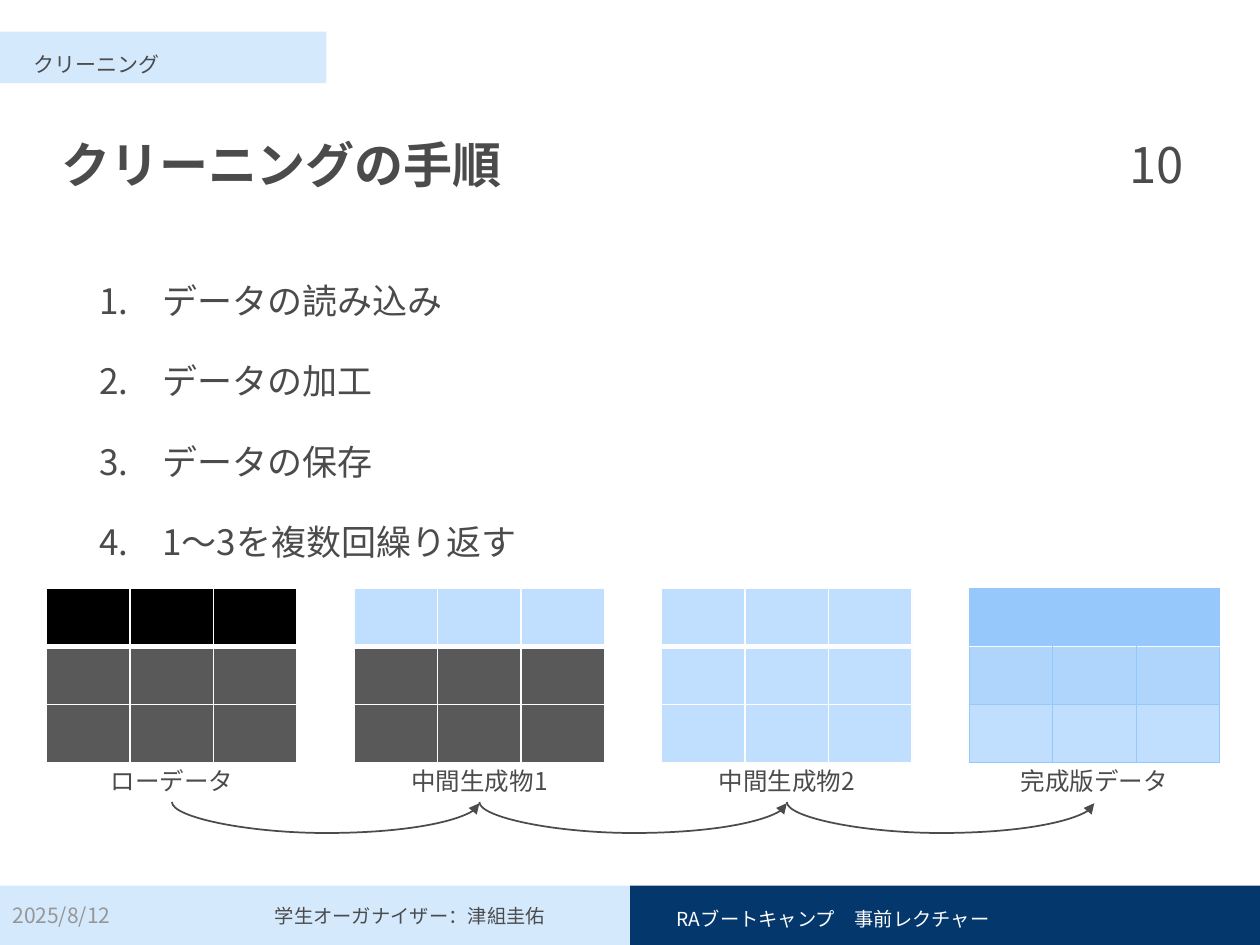
from lxml import etree
from pptx import Presentation
from pptx import util as u
from pptx.dml.color import RGBColor
from pptx.enum import shapes, text
from pptx.oxml.ns import qn

I = u.Inches
THEME = dict(
    font="Noto Sans CJK JP", ink="4B4B4B", pale="D5E9FD", navy="04376C",
    white="FDFDFD", grey="969696", black="000000", dark="595959",
    blue="C0DEFD", mid="AFD5FC", deep="96C8FB",
    title=28, body=20, label=14, small=12, foot=11,
)

# Content
TITLE = "　クリーニングの手順"
TAG = "　クリーニング"
STEPS = ["データの読み込み", "データの加工", "データの保存", "1～3を複数回繰り返す"]
PAGE, DATE = "10", "2025/8/12"
HOST = "学生オーガナイザー：津組圭佑"
EVENT = "　RAブートキャンプ　事前レクチャー"
# Caption, fill of each row, whether the grid has the finished look
STAGES = [
    ("ローデータ", ("black", "dark", "dark"), False),
    ("中間生成物1", ("blue", "dark", "dark"), False),
    ("中間生成物2", ("blue", "blue", "blue"), False),
    ("完成版データ", ("deep", "mid", "blue"), True),
]
LEFT, STEP, TOP, WIDE = 0.37, 2.44, 4.67, 1.99
ROW, COLS = 0.46, 3
ARC, DIP = 0.01, 0.25

pres = Presentation()
pres.slide_width, pres.slide_height = I(10), I(7.5)
slide = pres.slides.add_slide(pres.slide_layouts[6])


def rgb(key):
    return RGBColor.from_string(THEME[key])


def sub(node, tag, **attrs):
    return etree.SubElement(node, qn(tag), attrs)


def bar(x, y, w, h, key):
    box = slide.shapes.add_shape(shapes.MSO_SHAPE.RECTANGLE, I(x), I(y), I(w), I(h))
    box.shadow.inherit = False
    box.fill.solid()
    box.fill.fore_color.rgb = rgb(key)
    box.line.fill.background()


def write(at, lines, size, color="ink", align="LEFT", mid=False,
          bold=False, space=None, before=0, number=False):
    frame = slide.shapes.add_textbox(*map(I, at)).text_frame
    frame.word_wrap = True
    frame.vertical_anchor = text.MSO_ANCHOR.MIDDLE if mid else text.MSO_ANCHOR.TOP
    for n, line in enumerate(lines):
        para = frame.add_paragraph() if n else frame.paragraphs[0]
        para.alignment = getattr(text.PP_ALIGN, align)
        para.space_before = u.Pt(before)
        if space:
            para.line_spacing = space
        if number:
            props = para._p.get_or_add_pPr()
            props.set("marL", str(I(0.5)))
            props.set("indent", str(-I(0.5)))
            sub(props, "a:buFont", typeface=THEME["font"])
            sub(props, "a:buAutoNum", type="arabicPeriod")
        run = para.add_run()
        run.text = line
        font = run.font
        font.name, font.size, font.bold = THEME["font"], u.Pt(THEME[size]), bold
        font.color.rgb = rgb(color)
        sub(font._element, "a:ea", typeface=THEME["font"])


def edge(cell, side, line):
    props = cell._tc.get_or_add_tcPr()
    if line is None:
        sub(sub(props, "a:ln" + side, w="0"), "a:noFill")
        return
    key, width = line
    ln = sub(props, "a:ln" + side, w=str(u.Pt(width)))
    sub(sub(ln, "a:solidFill"), "a:srgbClr", val=THEME[key])


def grid(x, fills, done):
    rows = len(fills)
    table = slide.shapes.add_table(rows, COLS, I(x), I(TOP), I(WIDE), I(ROW * rows)).table
    table.horz_banding = table.first_row = False
    thin = ("deep", 0.5) if done else ("white", 1)
    rule = ("white", 1) if done else ("white", 3)
    for r, key in enumerate(fills):
        table.rows[r].height = I(ROW)
        for c in range(COLS):
            cell = table.cell(r, c)
            plain = done and r == 0
            edge(cell, "L", None if plain and c > 0 else thin)
            edge(cell, "R", None if plain and c < COLS - 1 else thin)
            edge(cell, "T", rule if r == 1 else thin)
            edge(cell, "B", rule if r == 0 else thin)
            cell.fill.solid()
            cell.fill.fore_color.rgb = rgb(key)


def arc(x):
    # An upright connector turned by 270 degrees sags below its two ends
    mid, y = x + STEP / 2, 6.37
    line = slide.shapes.add_connector(
        shapes.MSO_CONNECTOR.CURVE, I(mid + ARC / 2), I(y - STEP / 2),
        I(mid - ARC / 2), I(y + STEP / 2))
    line.line.color.rgb = rgb("ink")
    line.line.width = u.Pt(1)
    props = line._element.spPr
    props.find(qn("a:xfrm")).set("rot", str(270 * 60000))
    guides = props.find(qn("a:prstGeom")).find(qn("a:avLst"))
    sub(guides, "a:gd", name="adj1", fmla=f"val {round(DIP / ARC * 100000)}")
    sub(props.find(qn("a:ln")), "a:tailEnd", type="triangle")
    sub(props, "a:effectLst")


# Bars and footer
bar(5, 7.03, 5, 0.47, "navy")
bar(0, 7.03, 5, 0.47, "pale")
bar(0, 0.25, 2.59, 0.41, "pale")
write((1.54, 7.15, 3.43, 0.28), [HOST], "foot", align="CENTER", space=0.9)
write((5.12, 7.15, 4.64, 0.28), [EVENT], "foot", "white")
write((0, 7.03, 1.75, 0.47), [DATE], "small", "grey", mid=True)

# Heading and steps
write((0, 0.69, 10, 1.28), [TITLE], "title", mid=True, bold=True, space=0.9)
write((0.69, 2, 8.62, 4.76), STEPS, "body", space=1.5, before=10, number=True)
write((7.3, 0.66, 2.19, 1.28), [PAGE], "title", align="RIGHT", mid=True)
write((0, 0.26, 2.59, 0.39), [TAG], "small", space=1.5, before=10)

# Data stages, joined by arcs
for n, (name, fills, done) in enumerate(STAGES):
    x = LEFT + n * STEP
    grid(x, fills, done)
    write((x, 6.03, WIDE, 0.34), [name], "label", align="CENTER")
    if n < len(STAGES) - 1:
        arc(x + WIDE / 2)

pres.save("out.pptx")
